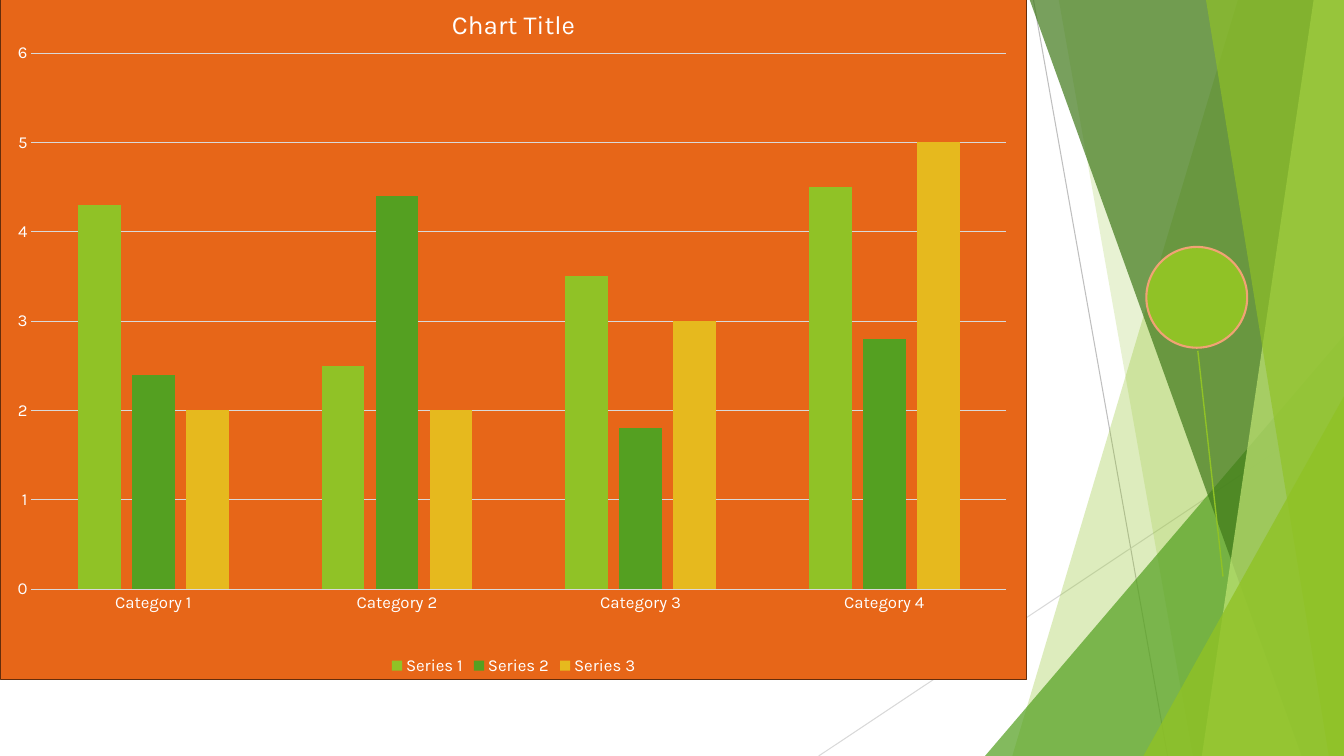
from lxml import etree
from pptx import Presentation
from pptx.chart.data import CategoryChartData
from pptx.dml.color import RGBColor
from pptx.enum.chart import XL_CHART_TYPE as ChartType, XL_LEGEND_POSITION as LegendPosition
from pptx.enum.chart import XL_TICK_MARK as TickMark
from pptx.enum.shapes import MSO_CONNECTOR as Connector, MSO_SHAPE as Shape
from pptx.oxml import parse_xml
from pptx.oxml.ns import nsdecls, qn
from pptx.util import Inches, Pt

WIDTH, HEIGHT = 13.33, 7.5
GREEN, LEAF, GOLD = "90C226", "54A021", "E6B91E"
WHITE, GRID = "FFFFFF", "D9D9D9"


def color(value):
    return RGBColor.from_string(value)


def style_font(font, size=12, fill=WHITE, name="Karla", bold=False):
    font.size = Pt(size)
    font.name = name
    font.bold = bold
    font.color.rgb = color(fill)


def write(frame, text, **style):
    span = frame.paragraphs[0].add_run()
    span.text = text
    style_font(span.font, **style)


class SlideBuilder:
    font = "Karla"

    def __init__(self, slide):
        self.slide = slide
        self.shapes = slide.shapes

    def paint(self, shape, fill, opacity=100, outline=None, width=1.5):
        shape.shadow.inherit = False
        shape.fill.solid()
        shape.fill.fore_color.rgb = color(fill)
        if opacity < 100:
            tone = shape.fill._xPr.find(".//" + qn("a:srgbClr"))
            etree.SubElement(tone, qn("a:alpha"), val=str(opacity * 1000))
        if outline:
            shape.line.color.rgb = color(outline)
            shape.line.width = Pt(width)
        else:
            shape.line.fill.background()

    def line(self, start, end, stroke, width=0.75):
        ends = [Inches(value) for value in (*start, *end)]
        connector = self.shapes.add_connector(Connector.STRAIGHT, *ends)
        connector.line.color.rgb = color(stroke)
        connector.line.width = Pt(width)
        etree.SubElement(connector.element.spPr, qn("a:effectLst"))

    def panel(self, top_left, bottom_left, fill, opacity):
        corners = [(top_left, -0.01), (WIDTH, -0.01), (WIDTH, HEIGHT), (bottom_left, HEIGHT)]
        points = [(Inches(x), Inches(y)) for x, y in corners]
        outline = self.shapes.build_freeform(*points[0], scale=1.0)
        outline.add_line_segments(points[1:], close=True)
        self.paint(outline.convert_to_shape(), fill, opacity)

    def corner(self, left, top, fill, opacity):
        triangle = self.shapes.add_shape(
            Shape.ISOSCELES_TRIANGLE, Inches(left), Inches(top),
            Inches(WIDTH - left), Inches(HEIGHT - top))
        triangle.adjustments[0] = 1
        self.paint(triangle, fill, opacity)

    def circle(self, left, top, size, fill, outline):
        circle = self.shapes.add_shape(
            Shape.OVAL, Inches(left), Inches(top), Inches(size), Inches(size))
        self.paint(circle, fill, outline=outline)

    def column_chart(self, place, title, categories, series, fill, border, plot_area):
        data = CategoryChartData()
        data.categories = categories
        for name, values, _ in series:
            data.add_series(name, values)
        chart = self.shapes.add_chart(
            ChartType.COLUMN_CLUSTERED, *[Inches(value) for value in place], data).chart
        style_font(chart.font, name=self.font)
        chart.has_title = True
        write(chart.chart_title.text_frame, title, size=18.6, name=self.font)
        chart.chart_title.include_in_layout = False
        chart.has_legend = True
        chart.legend.position = LegendPosition.BOTTOM
        chart.legend.include_in_layout = False
        style_font(chart.legend.font, name=self.font)

        plot = chart.plots[0]
        plot.vary_by_categories = False
        plot.gap_width, plot.overlap = 219, -27
        for bars, (_, _, tone) in zip(plot.series, series):
            bars.format.fill.solid()
            bars.format.fill.fore_color.rgb = color(tone)
            bars.invert_if_negative = False

        value_axis, category_axis = chart.value_axis, chart.category_axis
        for axis in (value_axis, category_axis):
            axis.major_tick_mark = axis.minor_tick_mark = TickMark.NONE
            style_font(axis.tick_labels.font, name=self.font)
        value_axis.minimum_scale, value_axis.maximum_scale, value_axis.major_unit = 0, 6, 1
        value_axis.format.line.fill.background()
        for line in (value_axis.major_gridlines.format.line, category_axis.format.line):
            line.color.rgb = color(GRID)
            line.width = Pt(0.75)
        self.place_plot(chart, plot_area)
        self.frame_chart(chart, fill, border)

    def place_plot(self, chart, plot_area):
        area = chart.element.find(".//" + qn("c:plotArea"))
        for old in area.findall(qn("c:layout")):
            area.remove(old)
        sizes = "".join(f'<c:{key} val="{value}"/>' for key, value in zip("xywh", plot_area))
        area.insert(0, parse_xml(
            f'<c:layout {nsdecls("c")}><c:manualLayout><c:layoutTarget val="inner"/>'
            f'<c:xMode val="edge"/><c:yMode val="edge"/>{sizes}</c:manualLayout></c:layout>'))

    def frame_chart(self, chart, fill, border):
        solid = '<a:solidFill><a:srgbClr val="{}"/></a:solidFill>'
        chart.element.find(qn("c:chart")).addnext(parse_xml(
            f'<c:spPr {nsdecls("c", "a")}>{solid.format(fill)}'
            f'<a:ln w="{Pt(1)}">{solid.format(border)}</a:ln></c:spPr>'))


def main():
    deck = Presentation()
    deck.slide_width, deck.slide_height = Inches(WIDTH), Inches(HEIGHT)
    page = SlideBuilder(deck.slides.add_slide(deck.slide_layouts[6]))

    page.line((10.25, 0), (11.58, HEIGHT), "BFBFBF")
    page.line((WIDTH, 4.03), (8.12, HEIGHT), GRID)
    page.panel(12.28, 10.04, GREEN, 30)
    page.panel(10.5, 11.83, GREEN, 20)
    page.corner(9.77, 3.33, LEAF, 72)
    page.panel(10.21, 12.91, "3F7819", 70)
    page.panel(13.03, 11.92, "C0E474", 70)
    page.panel(11.96, 13.18, GREEN, 65)
    page.corner(11.34, 3.93, GREEN, 80)

    page.column_chart(
        (0, -0.17, 10.19, 6.92), "Chart Title",
        [f"Category {number}" for number in range(1, 5)],
        [("Series 1", (4.3, 2.5, 3.5, 4.5), GREEN),
         ("Series 2", (2.4, 4.4, 1.8, 2.8), LEAF),
         ("Series 3", (2, 2, 3, 5), GOLD)],
        fill="E76618", border="652D0B", plot_area=(0.03, 0.1, 0.95, 0.77))

    page.circle(11.37, 2.45, 1, GREEN, "F1A374")
    page.line((11.88, 3.48), (12.13, 5.72), GREEN, 1)
    deck.save("out.pptx")


if __name__ == "__main__":
    main()
